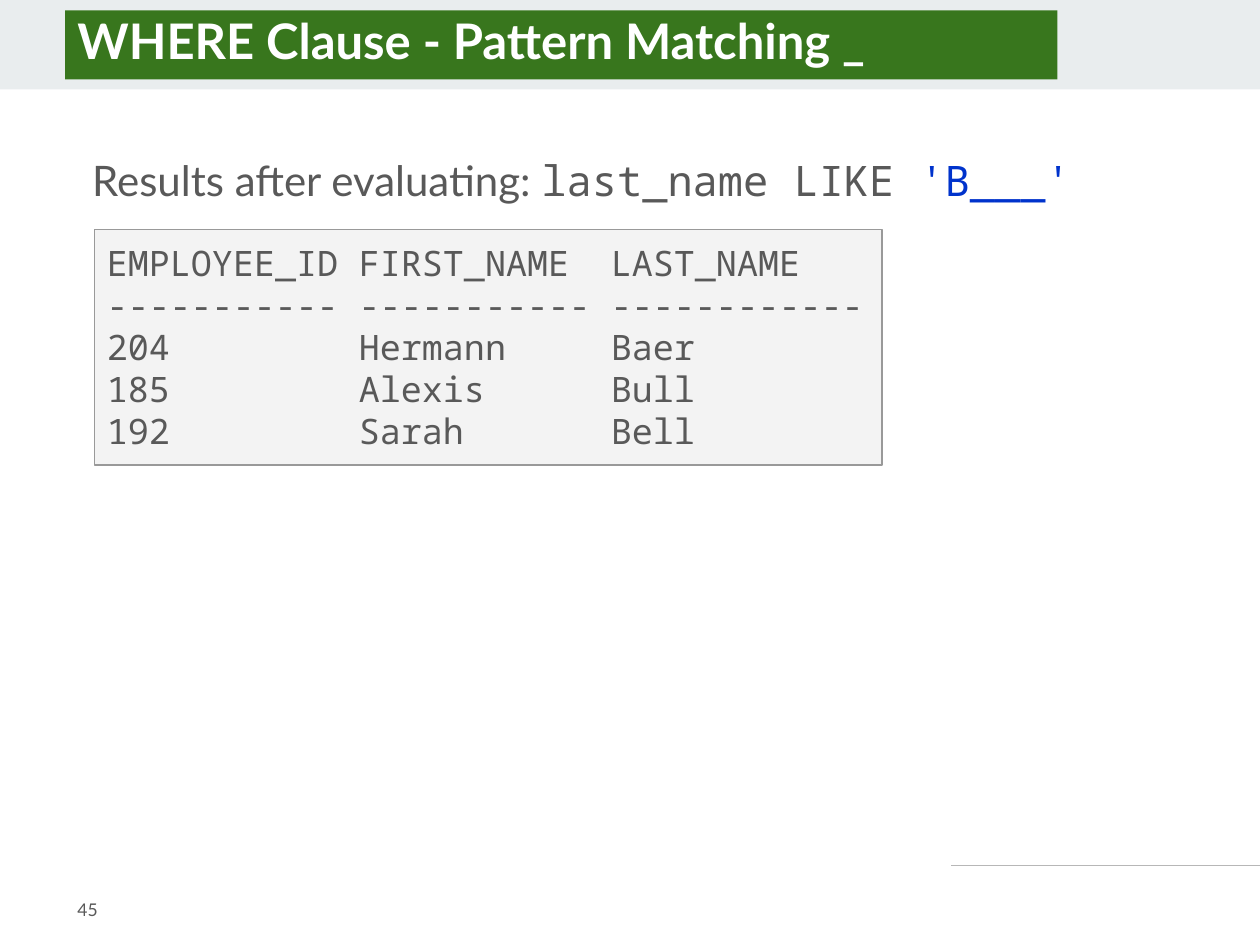
from lxml.etree import SubElement
from pptx import Presentation
from pptx.dml.color import RGBColor
from pptx.enum.shapes import MSO_CONNECTOR, MSO_SHAPE
from pptx.enum.text import MSO_ANCHOR, PP_ALIGN
from pptx.oxml.ns import qn
from pptx.util import Pt

WHITE = RGBColor(0xFF, 0xFF, 0xFF)
GREEN = RGBColor(0x38, 0x76, 0x1D)
BAND = RGBColor(0xE9, 0xED, 0xEE)
PANEL = RGBColor(0xF3, 0xF3, 0xF3)
BORDER = RGBColor(0x99, 0x99, 0x99)
RULE = RGBColor(0xB7, 0xB7, 0xB7)
GRAY = RGBColor(0x59, 0x59, 0x59)
BLUE = RGBColor(0x00, 0x33, 0xCC)

SANS = "Lato"
MONO = "Noto Sans Mono"
COLUMN_STEP = 144

RESULT_ROWS = [
    ("EMPLOYEE_ID", "FIRST_NAME", "LAST_NAME"),
    ("-" * 11, "-" * 11, "-" * 12),
    ("204", "Hermann", "Baer"),
    ("185", "Alexis", "Bull"),
    ("192", "Sarah", "Bell"),
]


class SlideBuilder:
    def __init__(self, slide):
        self.slide = slide

    def rule(self, x1, y1, x2, y2):
        line = self.slide.shapes.add_connector(
            MSO_CONNECTOR.STRAIGHT, Pt(x1), Pt(y1), Pt(x2), Pt(y2))
        line.line.color.rgb = RULE
        line.line.width = Pt(0.75)
        SubElement(line._element.spPr, qn("a:effectLst"))

    def rect(self, x, y, w, h, fill, border=None):
        sp = self.slide.shapes.add_shape(
            MSO_SHAPE.RECTANGLE, Pt(x), Pt(y), Pt(w), Pt(h))
        sp.shadow.inherit = False
        sp.fill.solid()
        sp.fill.fore_color.rgb = fill
        if border is None:
            sp.line.fill.background()
        else:
            sp.line.color.rgb = border
            sp.line.width = Pt(0.75)
        return sp

    def textbox(self, x, y, w, h):
        return self.slide.shapes.add_textbox(Pt(x), Pt(y), Pt(w), Pt(h))

    def frame(self, sp, inset_y, anchor=MSO_ANCHOR.TOP):
        tf = sp.text_frame
        tf.word_wrap = True
        tf.vertical_anchor = anchor
        tf.margin_left = tf.margin_right = Pt(7.2)
        tf.margin_top = tf.margin_bottom = Pt(inset_y)
        return tf

    def style(self, p, size, color=GRAY, name=SANS, bold=False):
        p.alignment = PP_ALIGN.LEFT
        p.font.size = Pt(size)
        p.font.name = name
        p.font.bold = bold
        p.font.color.rgb = color

    def tab_stops(self, p, count):
        tabs = SubElement(p._p.get_or_add_pPr(), qn("a:tabLst"))
        for i in range(1, count + 1):
            SubElement(tabs, qn("a:tab"), pos=str(Pt(i * COLUMN_STEP)), algn="l")

    def title(self, text):
        p = self.frame(self.rect(37.2, 6, 567, 39.4, GREEN), 3.6).paragraphs[0]
        p.text = text
        p.line_spacing = 0.9
        self.style(p, 28, WHITE, bold=True)

    def page_number(self, text):
        sp = self.textbox(37.2, 499, 88.6, 41)
        p = self.frame(sp, 7.2, MSO_ANCHOR.MIDDLE).paragraphs[0]
        p.text = text
        self.style(p, 10)

    def query_result(self, rows):
        tf = self.frame(self.rect(54, 131, 450, 134.8, PANEL, BORDER), 7.2)
        for i, row in enumerate(rows):
            p = tf.add_paragraph() if i else tf.paragraphs[0]
            p.text = "\t".join(row)
            self.tab_stops(p, len(row) - 1)
            self.style(p, 20, name=MONO)

    def condition(self, parts):
        """Write one line from (text, font, colour) parts."""
        p = self.frame(self.textbox(45.6, 84.5, 612, 60.5), 3.6).paragraphs[0]
        p.space_after = Pt(15)
        self.style(p, 24)
        for text, name, color in parts:
            r = p.add_run()
            r.text = text
            r.font.name = name
            r.font.color.rgb = color


def main():
    prs = Presentation()
    prs.slide_width, prs.slide_height = Pt(720), Pt(540)
    s = SlideBuilder(prs.slides.add_slide(prs.slide_layouts[6]))
    s.rule(543.5, 494.7, 720, 494.7)
    s.rect(0, 0, 720, 51.2, BAND)
    s.title("WHERE Clause - Pattern Matching _")
    s.page_number("45")
    s.query_result(RESULT_ROWS)
    s.condition([
        ("Results after evaluating: ", SANS, GRAY),
        ("last_name LIKE ", MONO, GRAY),
        ("'B___'", MONO, BLUE),
    ])
    prs.save("out.pptx")


if __name__ == "__main__":
    main()
